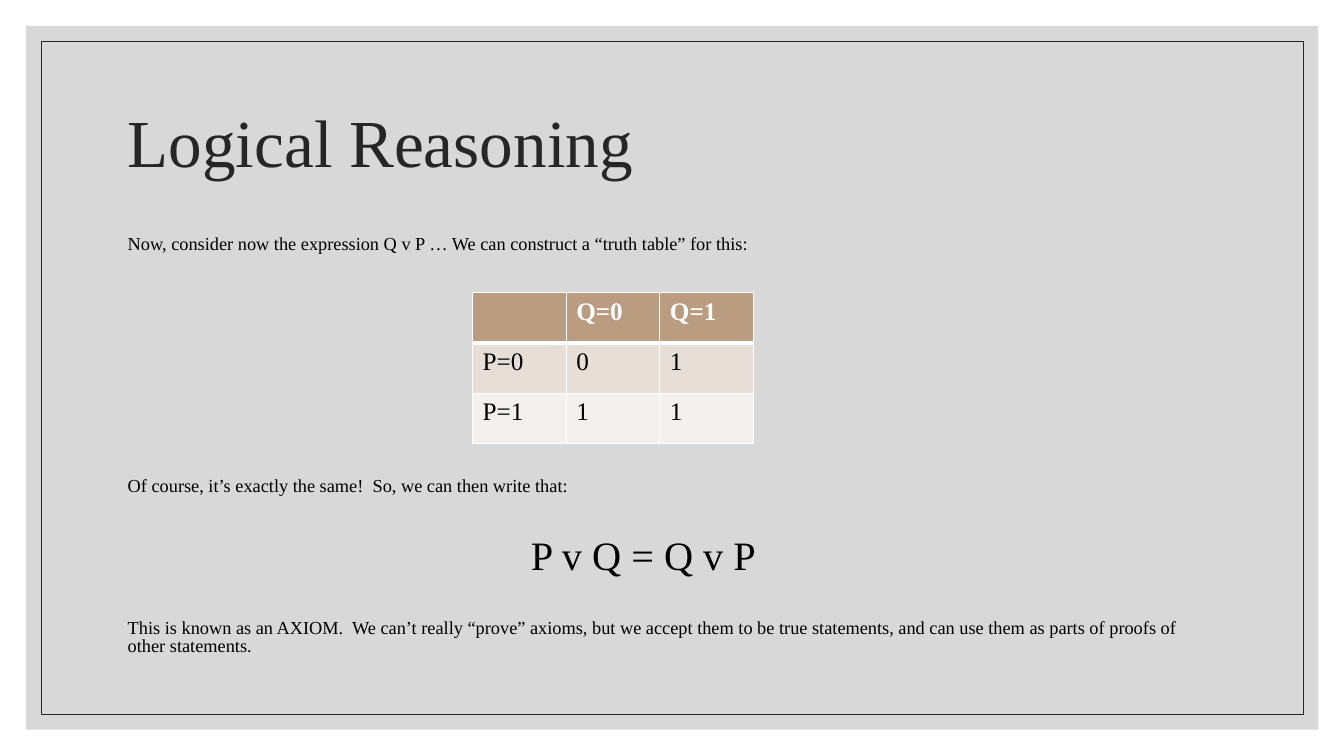
"""Build the Logical Reasoning slide with its truth table and axiom."""
from dataclasses import dataclass
from typing import Any

from lxml import etree
from pptx import Presentation
from pptx import util as u
from pptx.dml.color import RGBColor
from pptx.enum import shapes, text
from pptx.oxml import ns

WHITE = RGBColor(0xFF, 0xFF, 0xFF)
BLACK = RGBColor(0, 0, 0)
INK = RGBColor(0x26, 0x26, 0x26)
PANEL_GREY = RGBColor(0xBF, 0xBF, 0xBF)
HEADER_TAN = RGBColor(0xBA, 0x9C, 0x80)
ROW_TAN = RGBColor(0xE7, 0xDE, 0xD8)
ROW_PALE = RGBColor(0xF3, 0xEF, 0xED)

FONT = "Times New Roman"
PANEL_OPACITY = 60
COLUMN_WIDTH = u.Cm(2.36)
ROW_HEIGHT = u.Cm(1.27)
THIN, THICK = u.Pt(1), u.Pt(3)


@dataclass(frozen=True)
class Box:
    left: float
    top: float
    width: float
    height: float

    def lengths(self) -> list[u.Length]:
        return [u.Cm(value) for value in (self.left, self.top, self.width, self.height)]


@dataclass(frozen=True)
class Line:
    words: str
    size: float = 13.1
    space_before: float = 9
    spacing: float = 0.8
    indent: float = 0
    color: RGBColor = BLACK


@dataclass(frozen=True)
class TableRow:
    labels: tuple[str, ...]
    fill: RGBColor
    color: RGBColor = BLACK
    bold: bool = False
    top: u.Length = THIN
    bottom: u.Length = THIN


PANEL = Box(0.66, 0.66, 32.56, 17.73)
FRAME = Box(1.04, 1.04, 31.8, 16.97)
TITLE = Box(2.97, 1.78, 27.94, 3.81)
BODY = Box(2.97, 5.84, 27.94, 11.66)
TABLE = Box(11.91, 7.37, 7.08, 3.81)

TITLE_LINES = [Line("Logical Reasoning", 48, 0, 0.9, color=INK)]
BODY_LINES = [
    Line("Now, consider now the expression Q v P … We can construct a “truth table” for this:"),
    Line("Of course, it’s exactly the same!  So, we can then write that:", space_before=160.3),
    Line("P v Q = Q v P", 28.8, 30.6, indent=10.16),
    Line("This is known as an AXIOM.  We can’t really “prove” axioms, but we accept them to be "
         "true statements, and can use them as parts of proofs of other statements.",
         space_before=30.6),
]
TABLE_ROWS = [
    TableRow(("", "Q=0", "Q=1"), HEADER_TAN, WHITE, True, bottom=THICK),
    TableRow(("P=0", "0", "1"), ROW_TAN, top=THICK),
    TableRow(("P=1", "1", "1"), ROW_PALE),
]


def apply_format(target: Any, values: dict[str, Any]) -> None:
    """Set each named attribute of the target."""
    for name, value in values.items():
        setattr(target, name, value)


def format_font(font: Any, size: float, color: RGBColor, bold: bool = False) -> None:
    """Give a font the slide's typeface, a size, a colour and a weight."""
    apply_format(font, {"name": FONT, "size": u.Pt(size), "bold": bold})
    font.color.rgb = color


def add_rectangle(slide: Any, box: Box) -> Any:
    """Add a rectangle without a shadow."""
    shape = slide.shapes.add_shape(shapes.MSO_SHAPE.RECTANGLE, *box.lengths())
    shape.shadow.inherit = False
    return shape


def add_background(slide: Any) -> None:
    """Draw the translucent panel and the thin frame inside it."""
    panel = add_rectangle(slide, PANEL)
    panel.fill.solid()
    panel.fill.fore_color.rgb = PANEL_GREY
    panel.line.fill.background()
    color = panel.fill._xPr.find(".//" + ns.qn("a:srgbClr"))
    etree.SubElement(color, ns.qn("a:alpha"), val=str(PANEL_OPACITY * 1000))

    frame = add_rectangle(slide, FRAME)
    frame.fill.background()
    frame.line.color.rgb = INK
    frame.line.width = u.Pt(0.5)


def add_text(slide: Any, box: Box, lines: list[Line], anchor: text.MSO_ANCHOR) -> None:
    """Add a wrapped text box with one paragraph for each line."""
    frame = slide.shapes.add_textbox(*box.lengths()).text_frame
    apply_format(frame, {"word_wrap": True, "vertical_anchor": anchor})
    for index, line in enumerate(lines):
        paragraph = frame.add_paragraph() if index else frame.paragraphs[0]
        apply_format(paragraph, {"line_spacing": line.spacing,
                                 "space_before": u.Pt(line.space_before)})
        paragraph._p.get_or_add_pPr().set("marL", str(u.Cm(line.indent)))
        run = paragraph.add_run()
        run.text = line.words
        format_font(run.font, line.size, line.color)


def add_borders(cell: Any, row: TableRow) -> None:
    """Give a cell white borders on all four sides."""
    properties = cell._tc.get_or_add_tcPr()
    widths = {"lnL": THIN, "lnR": THIN, "lnT": row.top, "lnB": row.bottom}
    for tag, width in widths.items():
        border = etree.SubElement(properties, ns.qn(f"a:{tag}"), w=str(width))
        fill = etree.SubElement(border, ns.qn("a:solidFill"))
        etree.SubElement(fill, ns.qn("a:srgbClr"), val=str(WHITE))


def add_truth_table(slide: Any) -> None:
    """Add the truth table with a coloured header row."""
    columns = len(TABLE_ROWS[0].labels)
    table = slide.shapes.add_table(len(TABLE_ROWS), columns, *TABLE.lengths()).table
    for column in table.columns:
        column.width = COLUMN_WIDTH
    for row_index, row in enumerate(TABLE_ROWS):
        table.rows[row_index].height = ROW_HEIGHT
        for column_index, label in enumerate(row.labels):
            cell = table.cell(row_index, column_index)
            add_borders(cell, row)
            cell.fill.solid()
            cell.fill.fore_color.rgb = row.fill
            cell.text = label
            for run in cell.text_frame.paragraphs[0].runs:
                format_font(run.font, 18, row.color, row.bold)


def main() -> None:
    """Build and save the presentation."""
    presentation = Presentation()
    apply_format(presentation, {"slide_width": u.Cm(33.87), "slide_height": u.Cm(19.05)})
    slide = presentation.slides.add_slide(presentation.slide_layouts[6])
    add_background(slide)
    add_text(slide, TITLE, TITLE_LINES, text.MSO_ANCHOR.MIDDLE)
    add_text(slide, BODY, BODY_LINES, text.MSO_ANCHOR.TOP)
    add_truth_table(slide)
    presentation.save("out.pptx")


main()
